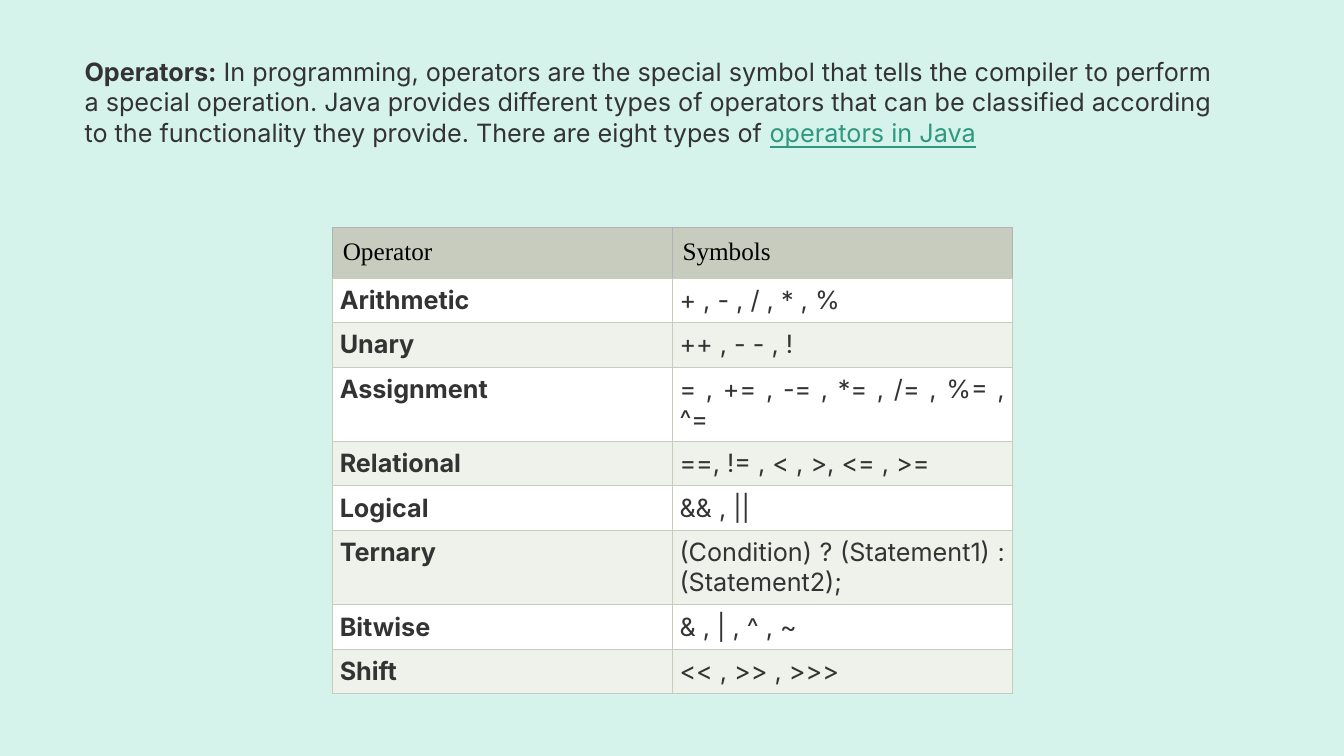
from dataclasses import dataclass
from lxml.etree import SubElement
from pptx import Presentation
from pptx.dml.color import RGBColor
from pptx.enum.text import MSO_AUTO_SIZE, PP_ALIGN
from pptx.oxml.ns import qn
from pptx.util import Inches, Pt

INTRODUCTION = [
    ("Operators:", "strong"),
    ("\u00a0In programming, operators are the special symbol that tells the compiler to perform "
     "a special operation. Java provides different types of operators that can be classified "
     "according to the functionality they provide. There are eight types of\u00a0", "body"),
    ("operators in Java", "reference"),
]
HEADINGS = ("Operator", "Symbols")
OPERATORS = [
    ("Arithmetic", "+ , - , / , * , %"),
    ("Unary", "++ , - - , !"),
    ("Assignment", "= , += , -= , *= , /= , %= , ^="),
    ("Relational", "==, != , < , >, <= , >="),
    ("Logical", "&& , ||"),
    ("Ternary", "(Condition) ? (Statement1) : (Statement2);"),
    ("Bitwise", "& , | , ^ , ~"),
    ("Shift", "<< , >> , >>>"),
]


@dataclass(frozen=True)
class Theme:
    background: str = "D5F2EB"
    text: str = "333333"
    heading_text: str = "000000"
    reference: str = "2F9880"
    heading_fill: str = "C7CCBE"
    row_fills: tuple = ("FFFFFF", "EFF1EB")
    border: str = "C7CCBE"
    heading_border: str = "B0B3B9"
    border_width: float = 0.6
    size: int = 18
    body_font: str = "Inter"
    heading_font: str = "Times New Roman"


theme = Theme()
body = {"name": theme.body_font, "size": Pt(theme.size), "bold": False, "color": theme.text}
FORMATS = {
    "body": body,
    "strong": {**body, "bold": True},
    "reference": {**body, "color": theme.reference, "underline": True},
    "heading": {**body, "name": theme.heading_font, "color": theme.heading_text},
}


def add_text(paragraph, text, style):
    run = paragraph.add_run()
    run.text = text
    for attribute, value in FORMATS[style].items():
        if attribute == "color":
            run.font.color.rgb = RGBColor.from_string(value)
        else:
            setattr(run.font, attribute, value)


def set_borders(cell, colors):
    properties = cell._tc.get_or_add_tcPr()
    for position, (side, color) in enumerate(colors.items()):
        line = SubElement(properties, qn(f"a:ln{side}"), w=str(Pt(theme.border_width)))
        SubElement(SubElement(line, qn("a:solidFill")), qn("a:srgbClr"), val=color)
        properties.insert(position, line)


def fill_cell(cell, text, style, fill, margin, alignment, borders):
    for side in ("left", "right", "top", "bottom"):
        setattr(cell, f"margin_{side}", Inches(margin))
    cell.fill.solid()
    cell.fill.fore_color.rgb = RGBColor.from_string(fill)
    set_borders(cell, borders)
    paragraph = cell.text_frame.paragraphs[0]
    paragraph.alignment = alignment
    add_text(paragraph, text, style)


presentation = Presentation()
presentation.slide_width, presentation.slide_height = Inches(13.33), Inches(7.5)
slide = presentation.slides.add_slide(presentation.slide_layouts[6])
slide.background.fill.solid()
slide.background.fill.fore_color.rgb = RGBColor.from_string(theme.background)

introduction = slide.shapes.add_textbox(
    Inches(0.74), Inches(0.51), Inches(11.48), Inches(1.01)).text_frame
introduction.word_wrap = True
introduction.auto_size = MSO_AUTO_SIZE.SHAPE_TO_FIT_TEXT
for text, style in INTRODUCTION:
    add_text(introduction.paragraphs[0], text, style)

row_heights = [0.49] + [0.72 if name == "Ternary" else 0.43 for name, symbols in OPERATORS]
table = slide.shapes.add_table(
    len(row_heights), len(HEADINGS), Inches(3.3), Inches(2.26),
    Inches(6.74), Inches(sum(row_heights))).table
for row, height in zip(table.rows, row_heights):
    row.height = Inches(height)

body_borders = dict.fromkeys("LRTB", theme.border)
heading_borders = {**dict.fromkeys("LRT", theme.heading_border), "B": theme.border}
for column, heading in enumerate(HEADINGS):
    fill_cell(table.cell(0, column), heading, "heading", theme.heading_fill, 0.1,
              PP_ALIGN.LEFT, heading_borders)
for index, operator in enumerate(OPERATORS):
    fill = theme.row_fills[index % len(theme.row_fills)]
    for column, (text, style) in enumerate(zip(operator, ("strong", "body"))):
        fill_cell(table.cell(index + 1, column), text, style, fill, 0.07,
                  PP_ALIGN.JUSTIFY, body_borders)

presentation.save("out.pptx")
